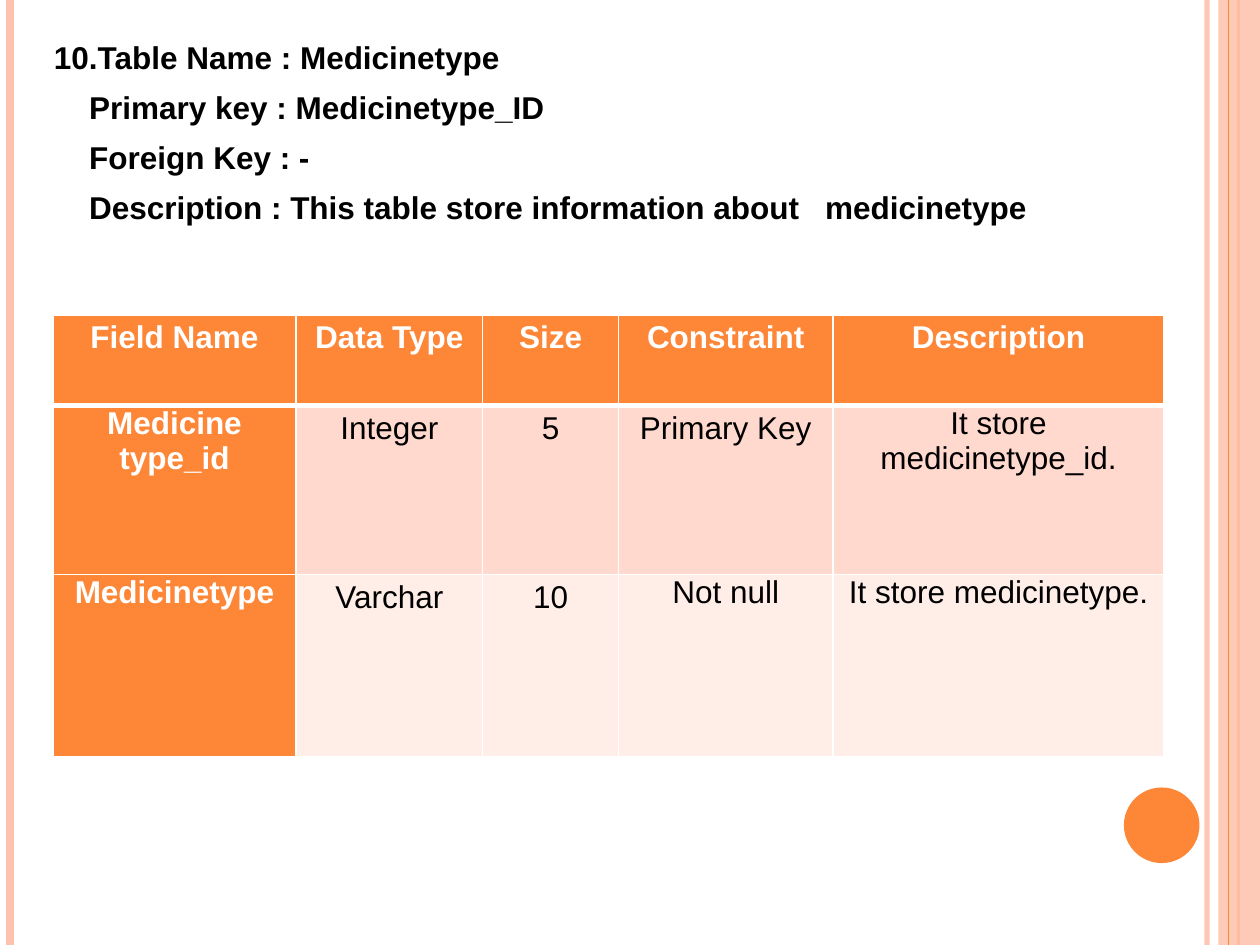
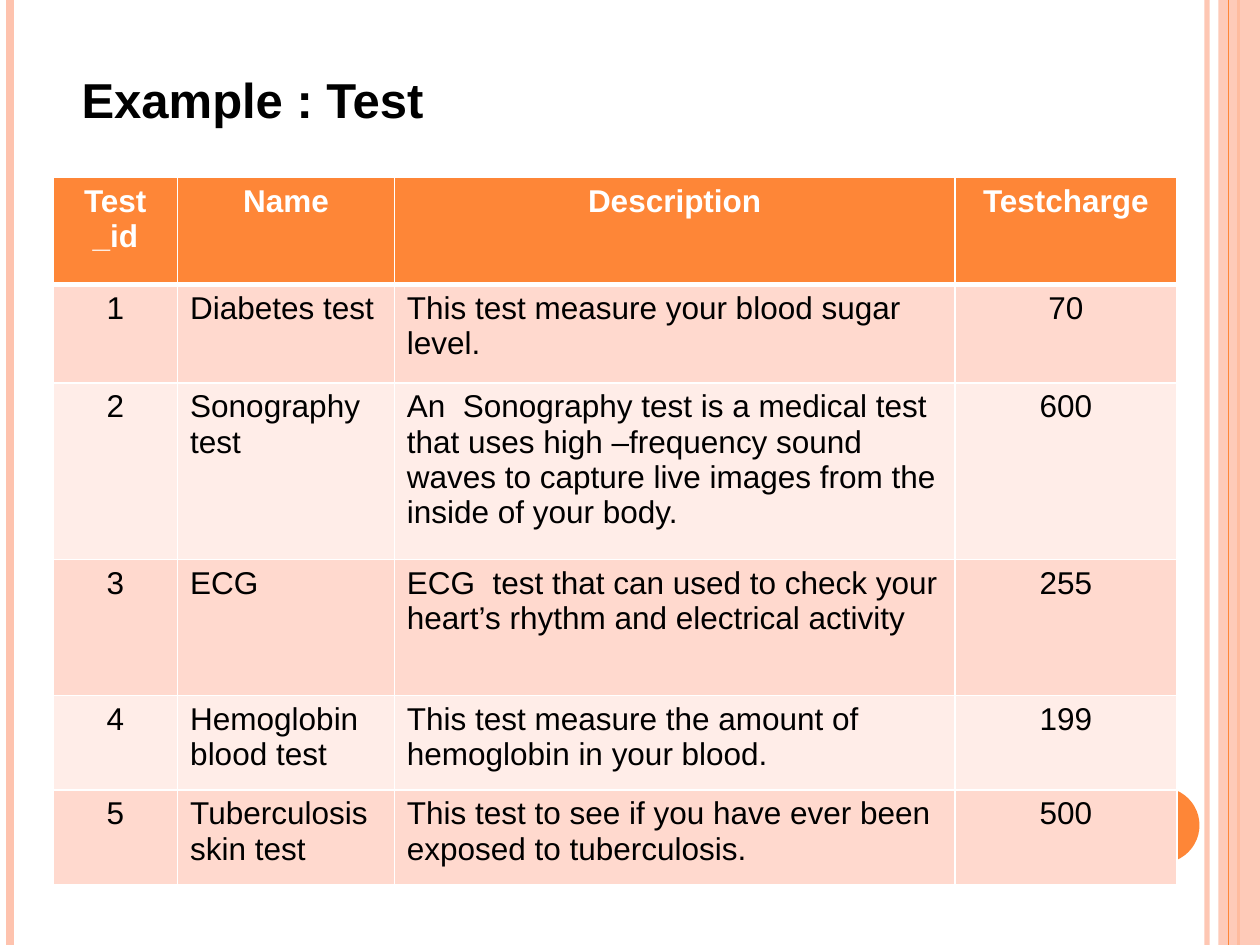
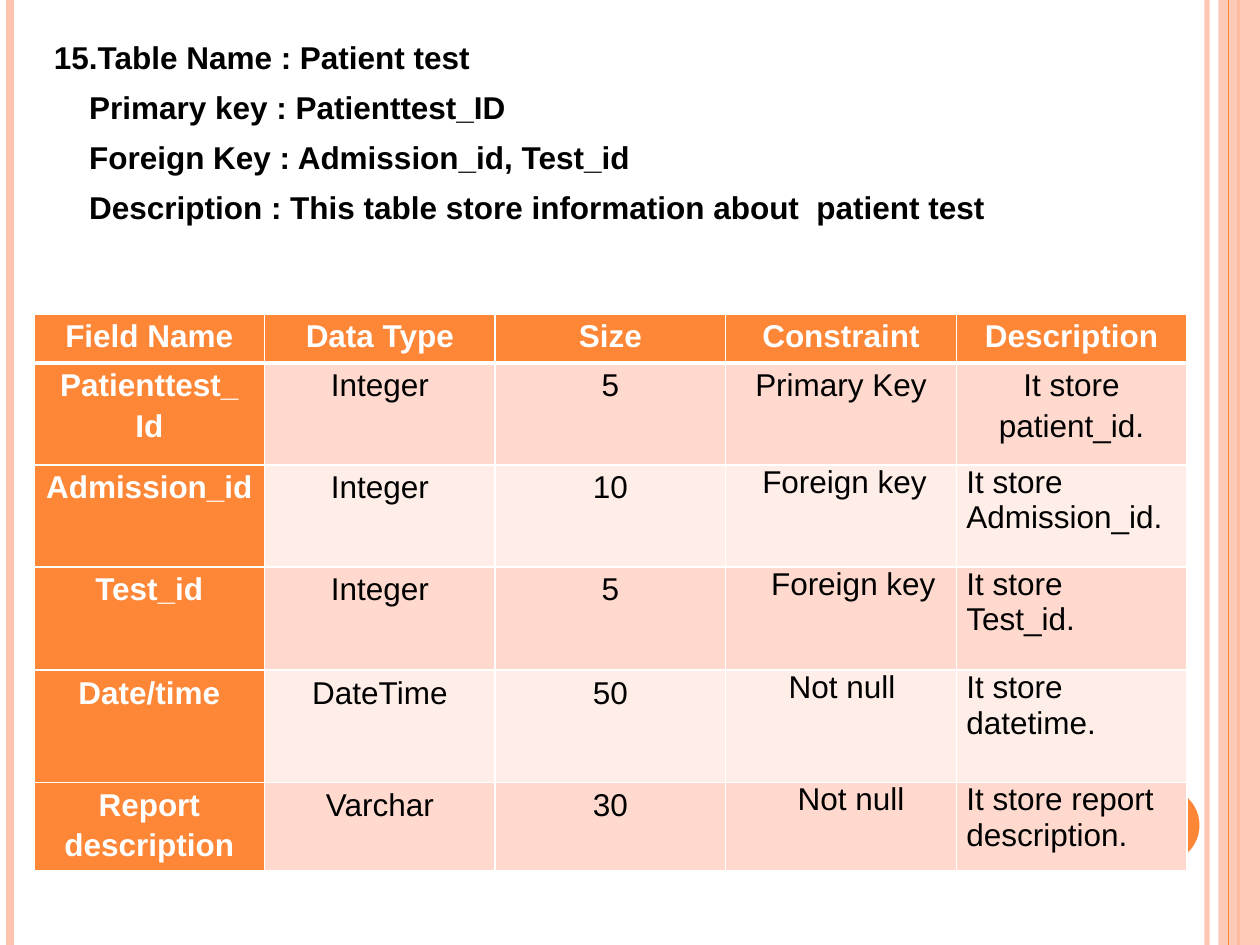
from lxml.etree import SubElement
from pptx import Presentation
from pptx.dml.color import RGBColor
from pptx.enum.shapes import MSO_CONNECTOR, MSO_SHAPE
from pptx.enum.text import PP_ALIGN
from pptx.oxml.ns import qn
from pptx.util import Inches, Pt

ORANGE = RGBColor(0xFE, 0x86, 0x37)
PEACH = RGBColor(0xFE, 0xC3, 0xAE)
BAND_DARK = RGBColor(0xFF, 0xD9, 0xCE)
BAND_LIGHT = RGBColor(0xFF, 0xED, 0xE8)
WHITE = RGBColor(0xFF, 0xFF, 0xFF)
BLACK = RGBColor(0, 0, 0)

SLIDE_WIDTH, SLIDE_HEIGHT = 10, 7.5
SPACE_WIDTH = 0.07

LOOSE = {"alignment": PP_ALIGN.CENTER, "line_spacing": 1.15}
CENTER = {"alignment": PP_ALIGN.CENTER}
LEFT = {"alignment": PP_ALIGN.LEFT}
HEADING = {"alignment": PP_ALIGN.LEFT, "space_before": Pt(7)}

FIELD_HEADERS = ["Field Name", "Data Type", "Size", "Constraint", "Description"]

MEDICINE_HEADING = [
    "10.Table Name : Medicinetype",
    "Primary key : Medicinetype_ID",
    "Foreign Key : -",
    "Description : This table store information about   medicinetype",
]
MEDICINE_ROWS = [
    FIELD_HEADERS,
    [("Medicine\ntype_id", CENTER), "Integer", "5", "Primary Key",
     ("It store\nmedicinetype_id.", CENTER)],
    [("Medicinetype", CENTER), "Varchar", "10", ("Not null", CENTER),
     ("It store medicinetype.", CENTER)],
]

TEST_ROWS = [
    ["Test\n_id", "Name", "Description", "Testcharge"],
    ["1", "Diabetes test", "This test measure your blood sugar level.", "70"],
    ["2", "Sonography test",
     "An  Sonography test is a medical test that uses high –frequency sound "
     "waves to capture live images from the inside of your body.", "600"],
    ["3", "ECG",
     "ECG  test that can used to check your heart’s rhythm and electrical activity",
     "255"],
    ["4", "Hemoglobin blood test",
     "This test measure the amount of hemoglobin in your blood.", "199"],
    ["5", "Tuberculosis skin test",
     "This test to see if you have ever been exposed to tuberculosis.", "500"],
]

PATIENT_HEADING = [
    "15.Table Name : Patient test",
    "Primary key : Patienttest_ID",
    "Foreign Key : Admission_id, Test_id",
    "Description : This table store information about  patient test",
]
PATIENT_ROWS = [
    FIELD_HEADERS,
    ["Patienttest_\nId", "Integer", "5", "Primary Key", "It store patient_id."],
    ["Admission_id", "Integer", "10", ("Foreign key", LEFT, 3),
     ("It store Admission_id.", LEFT)],
    ["Test_id", "Integer", "5", ("Foreign key", LEFT, 4),
     ("It store Test_id.", LEFT)],
    ["Date/time", "DateTime", "50", ("Not null", LEFT, 6),
     ("It store datetime.", LEFT)],
    ["Report description", "Varchar", "30", ("Not null", LEFT, 7),
     ("It store report description.", LEFT)],
]


def apply_format(target, values):
    for name, value in values.items():
        setattr(target, name, value)


def set_alpha(element, percent):
    """Make the solid colour inside an element partly transparent."""
    color = next(element.iter(qn("a:srgbClr")))
    SubElement(color, qn("a:alpha"), val=str(percent * 1000))


def add_vertical_line(slide, x, color, width, alpha=100):
    line = slide.shapes.add_connector(
        MSO_CONNECTOR.STRAIGHT, Inches(x), 0, Inches(x), Inches(SLIDE_HEIGHT))
    line.line.color.rgb = color
    line.line.width = Pt(width)
    properties = line._element.spPr
    if alpha < 100:
        set_alpha(properties, alpha)
    SubElement(properties, qn("a:effectLst"))


def add_filled_shape(slide, kind, left, top, width, height, color):
    shape = slide.shapes.add_shape(
        kind, Inches(left), Inches(top), Inches(width), Inches(height))
    shape.shadow.inherit = False
    shape.fill.solid()
    shape.fill.fore_color.rgb = color
    shape.line.fill.background()
    return shape


def add_decorated_slide(presentation):
    """Add a blank slide with the side bands and the orange dot."""
    slide = presentation.slides.add_slide(presentation.slide_layouts[6])
    add_vertical_line(slide, 9.58, PEACH, 3, alpha=93)
    add_vertical_line(slide, 0.08, PEACH, 4.5)
    add_vertical_line(slide, 9.83, ORANGE, 1.5)
    band = add_filled_shape(
        slide, MSO_SHAPE.RECTANGLE, 9.67, 0, 0.33, SLIDE_HEIGHT, PEACH)
    set_alpha(band._element.spPr, 87)
    add_vertical_line(slide, 9.75, ORANGE, 0.75)
    add_filled_shape(slide, MSO_SHAPE.OVAL, 8.92, 6.25, 0.6, 0.6, ORANGE)
    return slide


def write_paragraph(paragraph, text, style, color, bold, size=18, indent=0):
    """Write one styled line; the indent counts in widths of a space."""
    apply_format(paragraph, style)
    if indent:
        properties = paragraph._p.get_or_add_pPr()
        properties.set("marL", str(Inches(indent * SPACE_WIDTH)))
        properties.set("indent", "0")
    run = paragraph.add_run()
    run.text = text
    apply_format(run.font, {"name": "Arial", "size": Pt(size), "bold": bold})
    run.font.color.rgb = color


def write_lines(text_frame, lines, style, color, bold, size=18, indents=None):
    for index, line in enumerate(lines):
        paragraph = text_frame.add_paragraph() if index else text_frame.paragraphs[0]
        indent = indents[index] if indents else 0
        write_paragraph(paragraph, line, style, color, bold, size, indent)


def add_text(slide, left, top, width, height, lines, style, **options):
    box = slide.shapes.add_textbox(
        Inches(left), Inches(top), Inches(width), Inches(height))
    box.text_frame.word_wrap = True
    write_lines(box.text_frame, lines, style, BLACK, True, **options)


def add_key_heading(slide, width, height, lines):
    indents = [0] + [4] * (len(lines) - 1)
    add_text(slide, 0.33, 0.25, width, height, lines, HEADING, indents=indents)


def set_borders(cell, top, bottom):
    properties = cell._tc.get_or_add_tcPr()
    for side, width in {"L": 1, "R": 1, "T": top, "B": bottom}.items():
        line = SubElement(properties, qn(f"a:ln{side}"), w=str(Pt(width)))
        fill = SubElement(line, qn("a:solidFill"))
        SubElement(fill, qn("a:srgbClr"), val=str(WHITE))


def fill_cell(cell, content, style, color, strong, margins):
    """Write a cell from plain text or from (text, style, indent)."""
    text, indent = content, 0
    if isinstance(content, tuple):
        text, style, indent = (*content, 0)[:3]
    horizontal, vertical = (Inches(margin) for margin in margins)
    apply_format(cell, {"margin_left": horizontal, "margin_right": horizontal,
                        "margin_top": vertical, "margin_bottom": vertical})
    cell.fill.solid()
    cell.fill.fore_color.rgb = color
    lines = text.split("\n")
    write_lines(cell.text_frame, lines, style, WHITE if strong else BLACK, strong,
                indents=[indent] * len(lines))


def add_data_table(slide, left, top, widths, heights, rows, styles, margins,
                   strong_first_column=True):
    """Add a banded table; styles gives the paragraph style of each body column."""
    table = slide.shapes.add_table(
        len(heights), len(widths), Inches(left), Inches(top),
        Inches(sum(widths)), Inches(sum(heights))).table
    apply_format(table, {"first_row": False, "horz_banding": False})
    for column, width in zip(table.columns, widths):
        column.width = Inches(width)
    for row, height in zip(table.rows, heights):
        row.height = Inches(height)
    for row_index, row in enumerate(rows):
        is_header = row_index == 0
        band = BAND_DARK if row_index % 2 else BAND_LIGHT
        for column_index, content in enumerate(row):
            strong = is_header or (strong_first_column and column_index == 0)
            cell = table.cell(row_index, column_index)
            set_borders(cell, 3 if row_index == 1 else 1, 3 if is_header else 1)
            style = styles[0] if is_header else styles[column_index]
            fill_cell(cell, content, style, ORANGE if strong else band, strong, margins)


def add_medicine_type_slide(presentation):
    slide = add_decorated_slide(presentation)
    add_key_heading(slide, 9.15, 6.44, MEDICINE_HEADING)
    add_data_table(slide, 0.42, 2.5, [1.93, 1.48, 1.08, 1.7, 2.63],
                   [0.72, 1.34, 1.45], MEDICINE_ROWS, [LOOSE] * 5, (0.07, 0))


def add_test_example_slide(presentation):
    slide = add_decorated_slide(presentation)
    add_data_table(slide, 0.42, 1.41, [0.99, 1.72, 4.45, 1.76],
                   [0.85, 0.78, 1.4, 1.08, 0.75, 0.75], TEST_ROWS,
                   [CENTER, LEFT, LEFT, CENTER], (0.1, 0.05),
                   strong_first_column=False)
    add_text(slide, 0.55, 0.5, 5.16, 0.57, ["Example : Test"], LEFT, size=28)


def add_patient_test_slide(presentation):
    slide = add_decorated_slide(presentation)
    add_key_heading(slide, 9.33, 6.36, PATIENT_HEADING)
    add_data_table(slide, 0.27, 2.49, [1.83] * 5,
                   [0.39, 0.81, 0.81, 0.82, 0.89, 0.7], PATIENT_ROWS,
                   [LOOSE] * 5, (0.08, 0))


def main():
    presentation = Presentation()
    presentation.slide_width = Inches(SLIDE_WIDTH)
    presentation.slide_height = Inches(SLIDE_HEIGHT)
    add_medicine_type_slide(presentation)
    add_test_example_slide(presentation)
    add_patient_test_slide(presentation)
    presentation.save("out.pptx")


if __name__ == "__main__":
    main()
